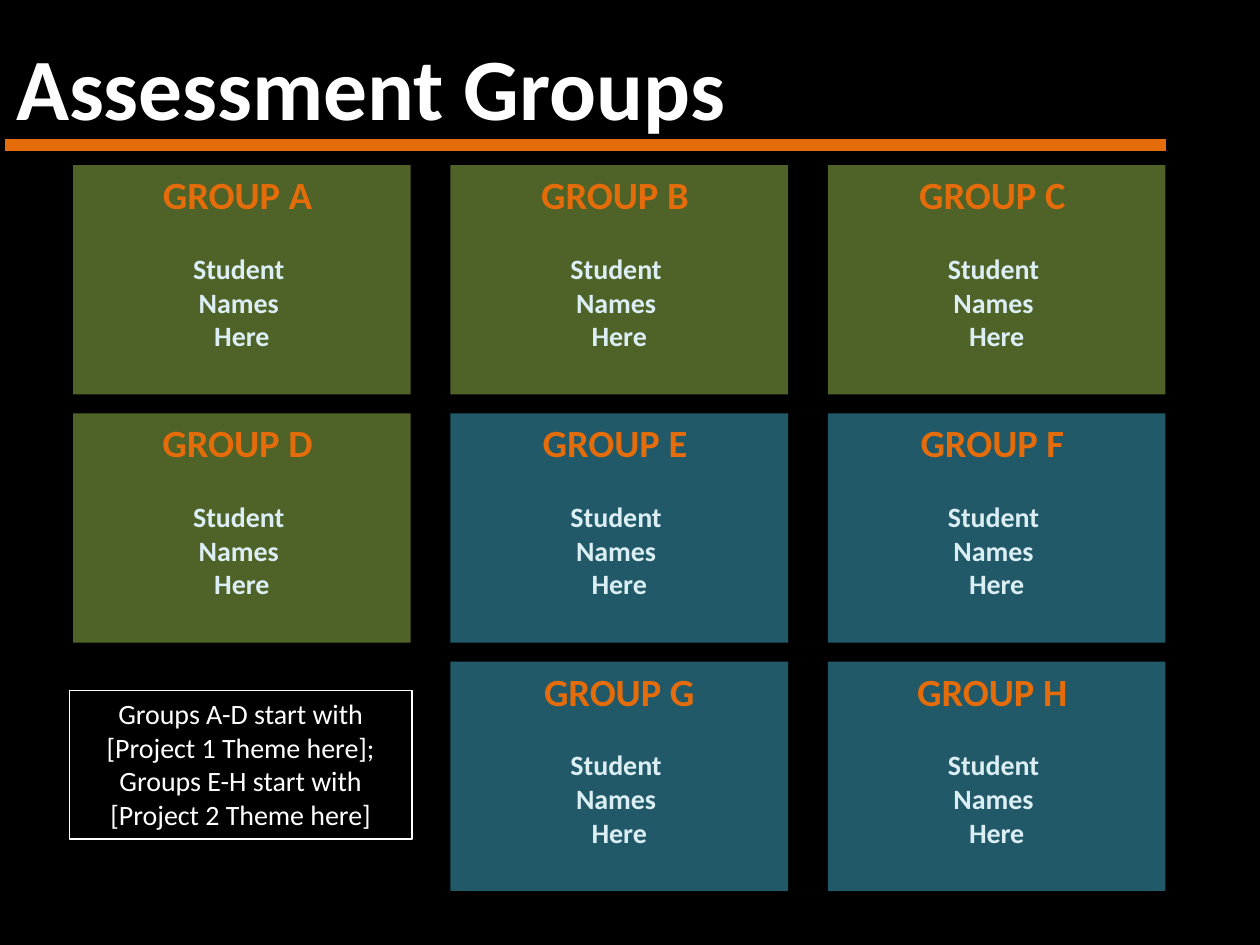
from pptx import Presentation
from pptx.dml.color import RGBColor
from pptx.enum.shapes import MSO_CONNECTOR, MSO_SHAPE
from pptx.enum.text import MSO_ANCHOR, PP_ALIGN
from pptx.oxml.ns import qn
from pptx.util import Inches, Pt

FONT = "Calibri"
ORANGE, WHITE, ICE = "E46C0A", "FFFFFF", "DBEEF4"
GREEN, TEAL = "4F6228", "215968"

# Grid of cards, in inches
COLUMNS = 3
LEFT, RIGHT, TOP = 0.58, 9.25, 1.31
CARD_WIDTH, CARD_HEIGHT, ROW_GAP = 2.68, 1.82, 0.15
COLUMN_GAP = (RIGHT - LEFT - COLUMNS * CARD_WIDTH) / (COLUMNS - 1)

# Letter, column, row
GROUPS = [
    ("A", 0, 0), ("B", 1, 0), ("C", 2, 0),
    ("D", 0, 1), ("E", 1, 1), ("F", 2, 1),
    ("G", 1, 2), ("H", 2, 2),
]
FIRST_PROJECT = "ABCD"


def color(hex_value):
    return RGBColor.from_string(hex_value)


def write(shape, text, size=16, font_color=WHITE, bold=False,
          align=PP_ALIGN.CENTER, before=0):
    """Add one paragraph, reusing the empty first one."""
    frame = shape.text_frame
    frame.word_wrap = True
    frame.vertical_anchor = MSO_ANCHOR.TOP
    paragraph = frame.add_paragraph() if frame.text else frame.paragraphs[0]
    paragraph.alignment = align
    if before:
        paragraph.space_before = Pt(before)
    run = paragraph.add_run()
    run.text = text
    run.font.name = FONT
    run.font.size = Pt(size)
    run.font.bold = bold
    run.font.color.rgb = color(font_color)


def add_box(slide, left, top, width, height, fill=None, line=None):
    shape = slide.shapes.add_shape(
        MSO_SHAPE.RECTANGLE, Inches(left), Inches(top), Inches(width), Inches(height))
    shape.shadow.inherit = False
    if fill:
        shape.fill.solid()
        shape.fill.fore_color.rgb = color(fill)
    else:
        shape.fill.background()
    if line:
        shape.line.color.rgb = color(line)
        shape.line.width = Pt(0.75)
    else:
        shape.line.fill.background()
    return shape


def add_rule(slide, left, right, top):
    rule = slide.shapes.add_connector(
        MSO_CONNECTOR.STRAIGHT, Inches(left), Inches(top), Inches(right), Inches(top))
    rule.line.color.rgb = color(ORANGE)
    rule.line.width = Pt(7)
    properties = rule._element.spPr
    properties.append(properties.makeelement(qn("a:effectLst"), {}))


def add_title(slide, text):
    title = slide.shapes.add_textbox(Inches(0.03), Inches(0.21), Inches(7.33), Inches(0.94))
    write(title, text, size=50, bold=True, align=PP_ALIGN.LEFT)


def add_group(slide, letter, column, row):
    card = add_box(
        slide,
        LEFT + column * (CARD_WIDTH + COLUMN_GAP),
        TOP + row * (CARD_HEIGHT + ROW_GAP),
        CARD_WIDTH, CARD_HEIGHT,
        fill=GREEN if letter in FIRST_PROJECT else TEAL)
    heading = "GROUP G" if letter == "G" else f"GROUP {letter} "
    write(card, heading, size=22, font_color=ORANGE, bold=True)
    write(card, "Student ", font_color=ICE, bold=True, before=19.5)
    write(card, "Names ", font_color=ICE, bold=True)
    write(card, "Here", font_color=ICE, bold=True)


def main():
    presentation = Presentation()
    presentation.slide_width, presentation.slide_height = Inches(10), Inches(7.5)
    slide = presentation.slides.add_slide(presentation.slide_layouts[6])
    slide.background.fill.solid()
    slide.background.fill.fore_color.rgb = color("000000")

    # Heading
    add_rule(slide, 0.04, RIGHT, 1.15)
    add_title(slide, "Assessment Groups")

    # Group cards
    for letter, column, row in GROUPS:
        add_group(slide, letter, column, row)

    # Note on starting projects
    note = add_box(slide, 0.55, 5.48, 2.72, 1.18, line=WHITE)
    write(note, "Groups A-D start with [Project 1 Theme here]; "
                "Groups E-H start with [Project 2 Theme here]")

    presentation.save("out.pptx")


if __name__ == "__main__":
    main()
